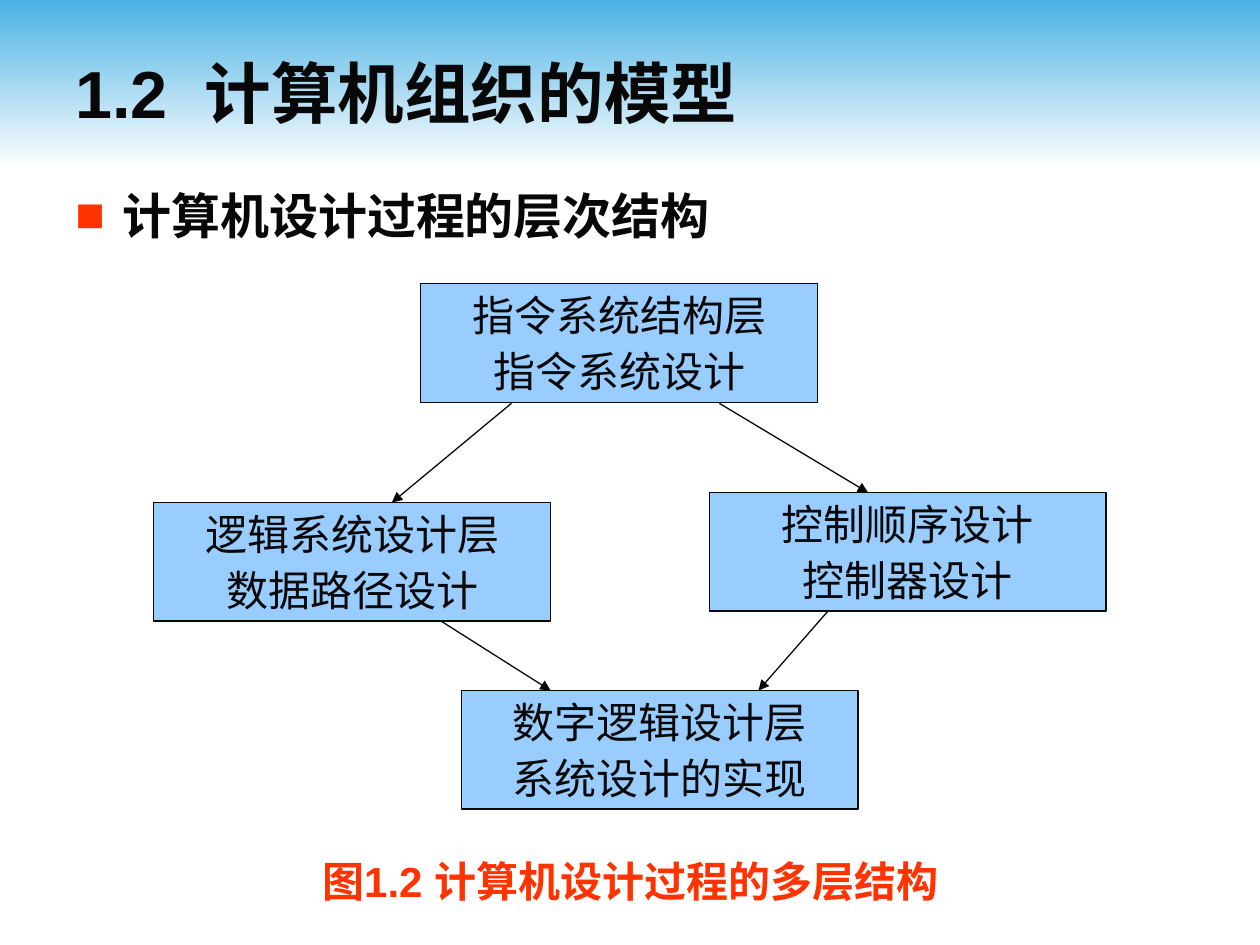
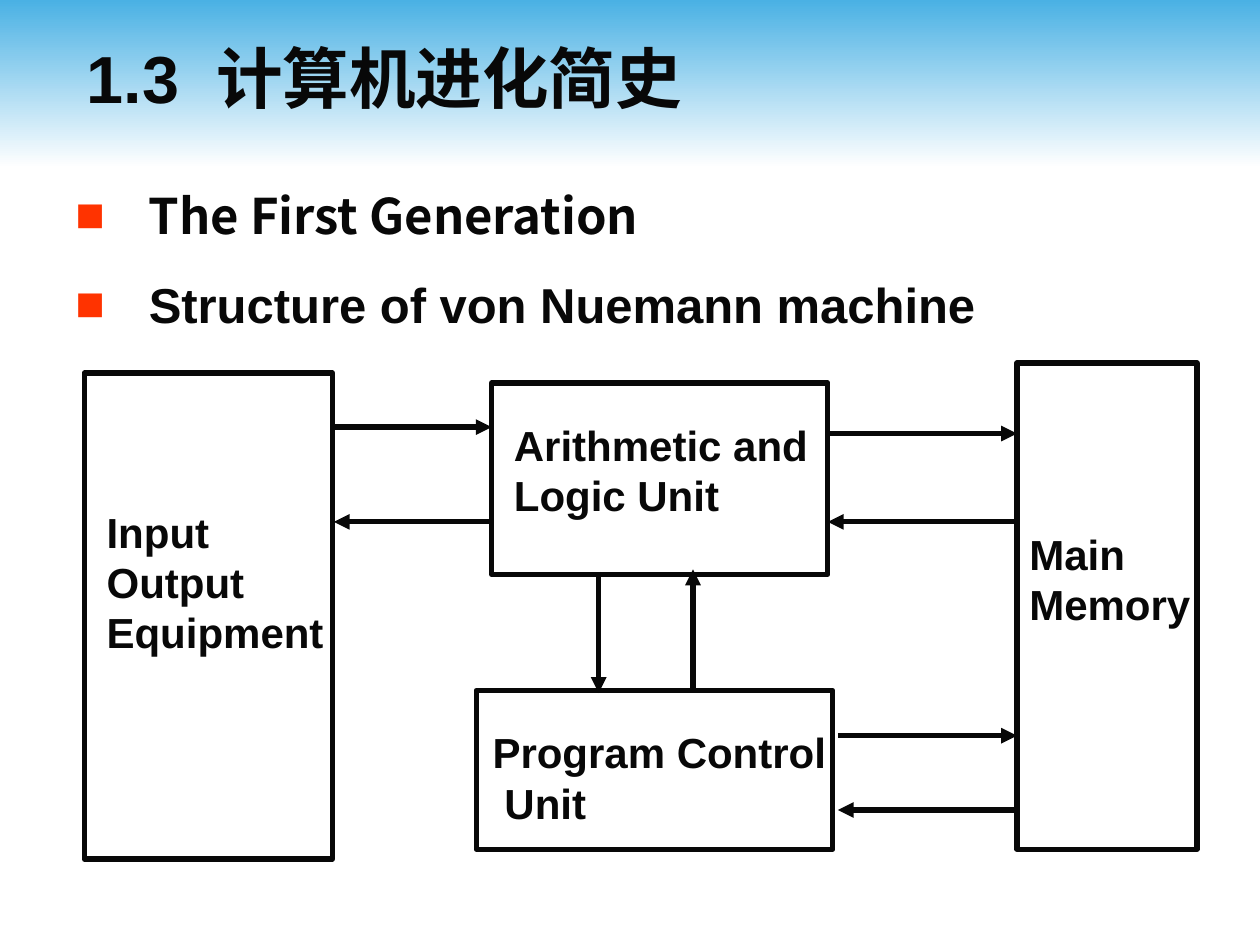
import lxml.etree
import pptx
import pptx.dml.color
import pptx.enum.shapes
import pptx.enum.text
import pptx.oxml.ns
import pptx.util

Cm = pptx.util.Cm
Pt = pptx.util.Pt
LEFT = pptx.enum.text.PP_ALIGN.LEFT
CENTER = pptx.enum.text.PP_ALIGN.CENTER
TOP = pptx.enum.text.MSO_ANCHOR.TOP
MIDDLE = pptx.enum.text.MSO_ANCHOR.MIDDLE
RECTANGLE = pptx.enum.shapes.MSO_SHAPE.RECTANGLE
STRAIGHT = pptx.enum.shapes.MSO_CONNECTOR.STRAIGHT

COLORS = {"ink": "080808", "accent": "FF3300", "layer": "99CCFF", "sky": "4AB1E4", "white": "FFFFFF"}
FONT = "Arial"
CJK_FONT = "Noto Sans CJK JP"
LINE_HEIGHT = 1.2
LAYER_SIZE = (8, 2.39)


def rgb(name):
    """Return the named colour."""
    return pptx.dml.color.RGBColor.from_string(COLORS[name])


def add_child(parent, tag, **attributes):
    """Append a DrawingML element to a parent element."""
    return lxml.etree.SubElement(parent, pptx.oxml.ns.qn(tag), attributes)


def write_text(shape, lines, size, color="ink", bold=True, align=LEFT, anchor=TOP, gap=0, wrap=True):
    """Fill a shape with one styled paragraph per line."""
    frame = shape.text_frame
    frame.text = "\n".join(lines)
    frame.word_wrap = wrap
    frame.vertical_anchor = anchor
    for index, paragraph in enumerate(frame.paragraphs):
        paragraph.alignment = align
        paragraph.line_spacing = Pt(size * LINE_HEIGHT)
        if index:
            paragraph.space_before = Pt(gap)
        for run in paragraph.runs:
            run.font.name = FONT
            run.font.size = Pt(size)
            run.font.bold = bold
            run.font.color.rgb = rgb(color)
    return frame


def add_label(shapes, box, lines, size, **style):
    """Add a text box at left, top, width, height in centimetres."""
    return write_text(shapes.add_textbox(*map(Cm, box)), lines, size, **style)


def add_box(shapes, box, line_width, fill=None):
    """Add an outlined rectangle, filled when a colour is named."""
    shape = shapes.add_shape(RECTANGLE, *map(Cm, box))
    shape.shadow.inherit = False
    if fill:
        shape.fill.solid()
        shape.fill.fore_color.rgb = rgb(fill)
    else:
        shape.fill.background()
    shape.line.color.rgb = rgb("ink")
    shape.line.width = Pt(line_width)
    return shape


def add_arrow(shapes, points, line_width):
    """Add an arrow between two points given as x1, y1, x2, y2."""
    arrow = shapes.add_connector(STRAIGHT, *map(Cm, points))
    arrow.line.color.rgb = rgb("ink")
    arrow.line.width = Pt(line_width)
    add_child(arrow.line._get_or_add_ln(), "a:tailEnd", type="triangle")
    add_child(arrow._element.spPr, "a:effectLst")


def add_bullets(slide, lines, indent):
    """Add the square-bulleted body text with a hanging indent."""
    frame = add_label(slide.shapes, (1.27, 3.61, 22.86, 13.97), lines, 28, gap=17.5)
    for paragraph in frame.paragraphs:
        properties = paragraph._p.get_or_add_pPr()
        properties.set("marL", str(Cm(indent)))
        properties.set("indent", str(-Cm(indent)))
        bullet_color = add_child(properties, "a:buClr")
        add_child(bullet_color, "a:srgbClr", val=COLORS["accent"])
        add_child(properties, "a:buFont", typeface=FONT)
        add_child(properties, "a:buChar", char="■")
    return frame


def start_slide(presentation, title, title_box):
    """Add a slide with the gradient band and its title."""
    slide = presentation.slides.add_slide(presentation.slide_layouts[6])
    band = slide.shapes.add_shape(RECTANGLE, 0, 0, presentation.slide_width, Cm(3.38))
    band.shadow.inherit = False
    band.line.fill.background()
    band.fill.gradient()
    band.fill.gradient_angle = 270
    for stop, position, color in zip(band.fill.gradient_stops, (0, 1), ("sky", "white")):
        stop.position = position
        stop.color.rgb = rgb(color)
    add_label(slide.shapes, title_box, [title], 38, anchor=MIDDLE)
    return slide


def build_design_layers(presentation):
    """Build the slide on the layers of computer design."""
    slide = start_slide(presentation, "1.2  计算机组织的模型", (1.27, 0.64, 22.86, 2.41))
    add_bullets(slide, ["计算机设计过程的层次结构"], 0.95)
    layers = [
        (8.48, 5.72, "指令系统结构层", "指令系统设计"),
        (3.1, 10.13, "逻辑系统设计层", "数据路径设计"),
        (14.3, 9.93, "控制顺序设计", "控制器设计"),
        (9.3, 13.92, "数字逻辑设计层", "系统设计的实现"),
    ]
    for left, top, *lines in layers:
        box = add_box(slide.shapes, (left, top, *LAYER_SIZE), 0.75, "layer")
        write_text(box, lines, 24, bold=False, align=CENTER, gap=3)
    arrows = [
        (10.31, 8.13, 7.9, 10.13),
        (14.5, 8.13, 17.5, 9.93),
        (8.89, 12.52, 11.1, 13.92),
        (16.69, 12.32, 15.29, 13.92),
    ]
    for points in arrows:
        add_arrow(slide.shapes, points, 0.75)
    add_label(slide.shapes, (4.5, 17.12, 16.41, 1.27), ["图1.2 计算机设计过程的多层结构"], 24,
              color="accent", align=CENTER)


def build_von_neumann_machine(presentation):
    """Build the slide on the structure of the first generation."""
    slide = start_slide(presentation, "1.3  计算机进化简史", (1.5, 0, 23.9, 3.12))
    bullets = add_bullets(slide, ["The First Generation", "Structure of von Nuemann machine"], 1.48)
    bullets.paragraphs[0].runs[0].font.name = CJK_FONT
    shapes = slide.shapes.add_group_shape().shapes
    units = [
        ((1.7, 7.52, 5, 9.8), (1.9, 10.08, 4.88, 3.3), ["Input", "Output", "Equipment"]),
        ((9.91, 7.72, 6.78, 3.86), (10.11, 8.33, 6.65, 2.29), ["Arithmetic and", "Logic Unit"]),
        ((9.6, 13.92, 7.19, 3.2), (9.68, 14.53, 7.24, 2.29), ["Program Control", "Unit"]),
        ((20.5, 7.32, 3.63, 9.8), (20.5, 10.52, 3.76, 2.29), ["Main", "Memory"]),
    ]
    labels = {}
    for outline, label, lines in units:
        add_box(shapes, outline, 3)
        labels[lines[0]] = add_label(shapes, label, lines, 24, wrap=False)
    control_unit = labels["Program Control"].paragraphs[1]
    control_unit._p.get_or_add_pPr().set("marL", str(Cm(0.24)))
    arrows = [
        (6.73, 8.61, 9.91, 8.61),
        (9.91, 10.52, 6.73, 10.52),
        (16.89, 14.83, 20.5, 14.83),
        (20.5, 16.33, 16.89, 16.33),
        (12.07, 11.53, 12.07, 13.97),
        (13.97, 13.92, 13.97, 11.48),
        (16.69, 8.74, 20.5, 8.74),
        (20.5, 10.52, 16.69, 10.52),
    ]
    for points in arrows:
        add_arrow(shapes, points, 3)


def main():
    """Build both slides and save the presentation."""
    presentation = pptx.Presentation()
    presentation.slide_width = Cm(25.4)
    presentation.slide_height = Cm(19.05)
    build_design_layers(presentation)
    build_von_neumann_machine(presentation)
    presentation.save("out.pptx")


if __name__ == "__main__":
    main()
